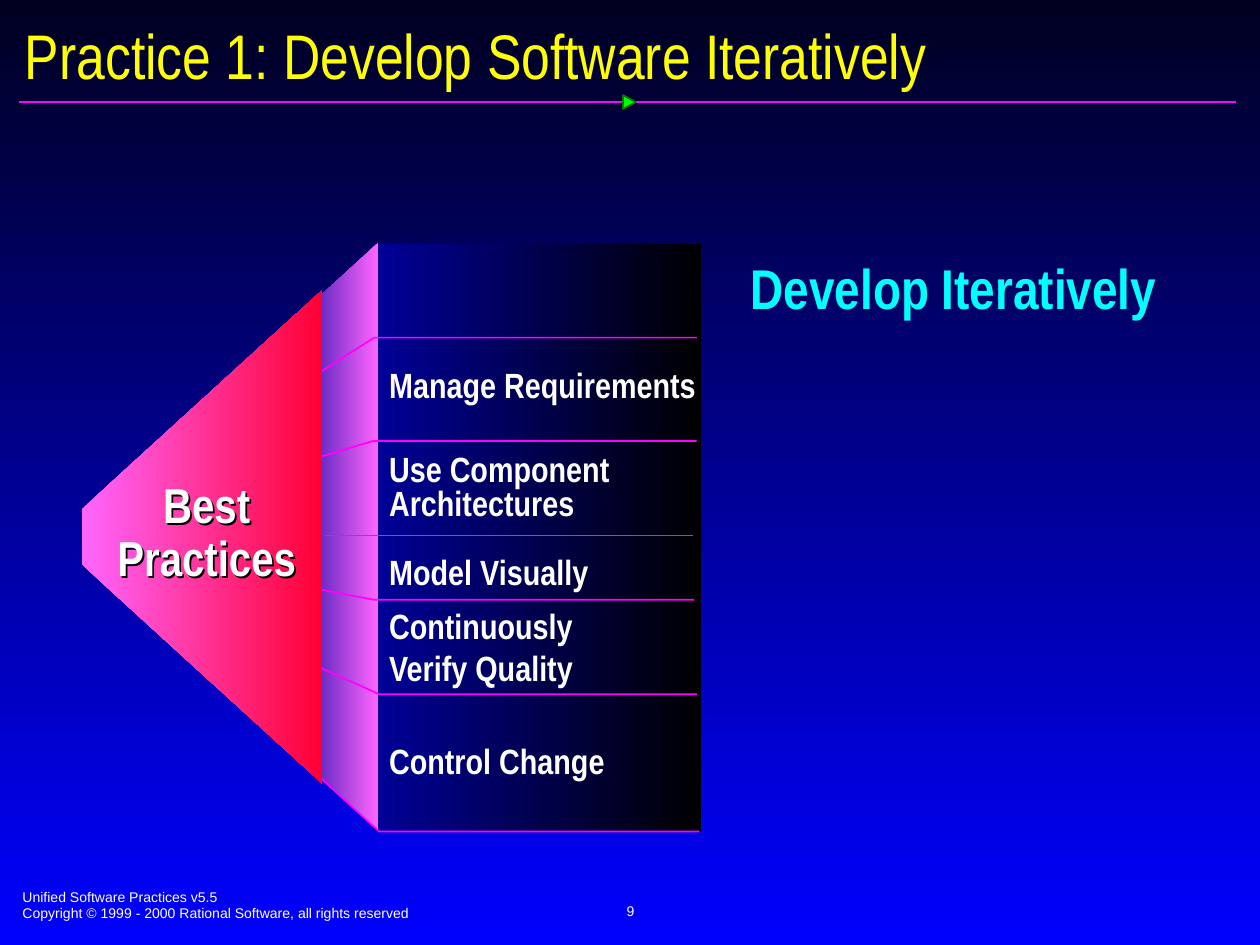
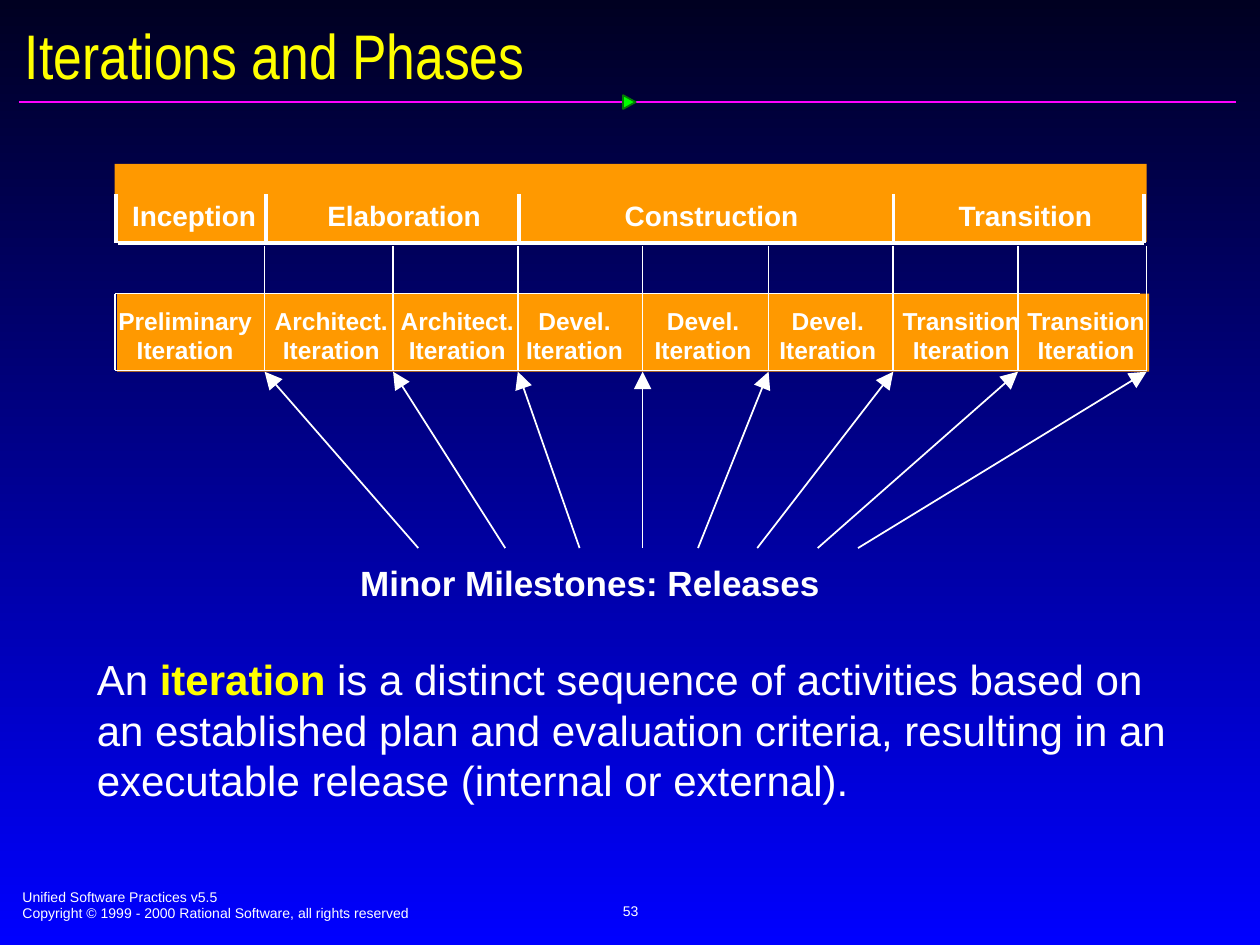
from dataclasses import dataclass

import lxml.etree
import pptx
import pptx.dml.color
import pptx.enum.shapes
import pptx.enum.text
import pptx.oxml.ns
import pptx.util

Inches = pptx.util.Inches
Pt = pptx.util.Pt
SHAPE = pptx.enum.shapes.MSO_SHAPE
ALIGN = pptx.enum.text.PP_ALIGN
ANCHOR = pptx.enum.text.MSO_ANCHOR


@dataclass(frozen=True)
class Theme:
    sans: str = "Arial"
    narrow: str = "Arial Narrow"
    white: str = "FFFFFF"
    black: str = "000000"
    yellow: str = "FFFF00"
    cyan: str = "00FFFF"
    orange: str = "FF9900"
    green: str = "00FF00"
    forest: str = "037C03"
    rule: str = "FF01FF"
    seam: str = "FF00FF"
    navy: str = "000099"
    pink: str = "FF66FF"
    red: str = "FF0033"
    sky: tuple = ("000021", "0000FF")
    title: int = 36
    callout: int = 32
    hub: int = 28
    body: int = 24
    label: int = 20
    phase: int = 16
    step: int = 14
    small: int = 8


T = Theme()


def rgb(code):
    return pptx.dml.color.RGBColor.from_string(code)


def blend(fill, start, end, angle=0):
    fill.gradient()
    fill.gradient_angle = angle
    for stop, code in zip(fill.gradient_stops, (start, end)):
        stop.color.rgb = rgb(code)


def add_node(parent, tag, **attrs):
    return lxml.etree.SubElement(parent, pptx.oxml.ns.qn(tag), attrs)


def style(run, size, color, font, bold):
    run.font.size = Pt(size)
    run.font.color.rgb = rgb(color)
    run.font.name = font
    run.font.bold = bold


def add_text(slide, box, lines, size, color=T.white, font=T.sans, bold=False,
             align=ALIGN.LEFT, anchor=ANCHOR.TOP, lead=None):
    shape = slide.shapes.add_textbox(*map(Inches, box))
    frame = shape.text_frame
    frame.word_wrap = True
    frame.vertical_anchor = anchor
    frame.text = lines
    for para in frame.paragraphs:
        para.alignment = align
        if lead:
            para.line_spacing = lead
        for run in para.runs:
            style(run, size, color, font, bold)
    return shape


def add_line(slide, start, end, color=T.white, width=1, arrow=False):
    line = slide.shapes.add_connector(
        pptx.enum.shapes.MSO_CONNECTOR.STRAIGHT,
        *map(Inches, (*start, *end)))
    line.line.color.rgb = rgb(color)
    line.line.width = Pt(width)
    if arrow:
        add_node(line.line._get_or_add_ln(), "a:tailEnd",
                 type="triangle", w="lg", len="lg")
    add_node(line._element.spPr, "a:effectLst")


def add_shape(slide, kind, box, color=None):
    shape = slide.shapes.add_shape(kind, *map(Inches, box))
    shape.shadow.inherit = False
    shape.line.fill.background()
    if color:
        shape.fill.solid()
        shape.fill.fore_color.rgb = rgb(color)
    return shape


def add_free(slide, points, close):
    first, *rest = [tuple(map(Inches, point)) for point in points]
    pen = slide.shapes.build_freeform(*first)
    pen.add_line_segments(rest, close=close)
    shape = pen.convert_to_shape()
    shape.shadow.inherit = False
    return shape


def add_panel(slide, points, start, end):
    shape = add_free(slide, points, True)
    blend(shape.fill, start, end)
    shape.line.fill.background()


def add_seam(slide, *points):
    shape = add_free(slide, points, False)
    shape.fill.background()
    shape.line.color.rgb = rgb(T.seam)
    shape.line.width = Pt(1)


def cast_shadow(shape):
    """Give the letters of an unfilled box a hard black shadow."""
    effects = add_node(shape._element.spPr, "a:effectLst")
    shadow = add_node(effects, "a:outerShdw", dist="18000", dir="2700000")
    add_node(shadow, "a:srgbClr", val=T.black)


def add_slide(deck, title, number):
    """Start a slide with the shared sky, footer, rule and title."""
    slide = deck.slides.add_slide(deck.slide_layouts[6])
    blend(slide.background.fill, *T.sky, angle=270)
    add_text(slide, (0.08, 7, 5.1, 0.37),
             "Unified Software Practices v5.5\n"
             "Copyright © 1999 - 2000 Rational Software, all rights reserved",
             T.small)
    add_text(slide, (3.42, 6.98, 3.17, 0.5), str(number), T.small,
             align=ALIGN.CENTER, anchor=ANCHOR.MIDDLE)
    add_line(slide, (0.15, 0.81), (9.81, 0.81), T.rule)
    mark = add_shape(slide, SHAPE.ISOSCELES_TRIANGLE,
                     (4.94, 0.76, 0.11, 0.1), T.green)
    mark.rotation = 90
    mark.line.color.rgb = rgb(T.forest)
    mark.line.width = Pt(1)
    add_text(slide, (0.1, 0.14, 9.84, 0.58), title, T.title, T.yellow,
             T.narrow, anchor=ANCHOR.MIDDLE)
    return slide


def draw_wedge(deck):
    slide = add_slide(deck, "Practice 1: Develop Software Iteratively", 9)
    add_text(slide, (5.86, 1.96, 3.8, 0.64), "Develop Iteratively",
             T.callout, T.cyan, T.narrow, True)
    block = add_shape(slide, SHAPE.RECTANGLE, (2.97, 1.94, 2.59, 4.66))
    blend(block.fill, T.navy, T.black)
    add_panel(slide, [(3, 6.59), (3, 1.93), (2.22, 2.64), (2.22, 5.88)],
              T.navy, T.pink)

    # right end, bend x, level, then the left end of each seam
    for right, bend, level, left, foot in (
            (5.53, 2.97, 2.68, 2.34, 3.08),
            (5.53, 2.96, 3.5, 2.33, 3.69),
            (5.51, 2.97, 4.76, 2.34, 4.64),
            (5.55, 3.01, 6.6, 2.32, 5.97),
            (5.53, 3.01, 5.51, 2.34, 5.21)):
        add_seam(slide, (right, level), (bend, level), (left, foot))
    add_line(slide, (2.58, 4.25), (5.5, 4.25), T.seam, 0.75)

    for top, height, words, lead in (
            (2.9, 0.37, "Manage Requirements", 0.8),
            (3.57, 0.64, "Use Component Architectures", 0.8),
            (4.32, 0.44, "Model Visually", None),
            (4.75, 0.77, "Continuously\nVerify Quality", None),
            (5.82, 0.44, "Control Change", None)):
        add_text(slide, (2.99, top, 2.8, height), words, T.label,
                 font=T.narrow, bold=True, lead=lead)

    add_panel(slide, [(2.56, 6.22), (2.56, 2.3), (0.65, 4.04), (0.65, 4.48)],
              T.pink, T.red)
    hub = add_text(slide, (0.64, 3.77, 2, 0.94), "Best\nPractices", T.hub,
                   font=T.narrow, bold=True, align=ALIGN.CENTER,
                   anchor=ANCHOR.MIDDLE, lead=0.9)
    cast_shadow(hub)


def add_steps(slide, gates):
    add_shape(slide, SHAPE.RECTANGLE, (0.93, 2.33, 8.19, 0.62), T.orange)
    width = 1.5
    for name, mid in (
            ("Preliminary", 1.47), ("Architect.", 2.63),
            ("Architect.", 3.63), ("Devel.", 4.56), ("Devel.", 5.58),
            ("Devel.", 6.57), ("Transition", 7.63), ("Transition", 8.62)):
        add_text(slide, (mid - width / 2, 2.38, width, 0.56),
                 f"{name}\nIteration", T.step, bold=True, align=ALIGN.CENTER)
    for x in gates:
        add_line(slide, (x, 2.94), (x, 1.95))
    add_line(slide, (0.91, 2.94), (9.1, 2.94))
    add_line(slide, (0.91, 2.33), (9.05, 2.33))
    add_line(slide, (0.91, 2.33), (0.91, 2.94))


def add_phases(slide):
    add_shape(slide, SHAPE.RECTANGLE, (0.91, 1.3, 8.19, 0.62), T.orange)
    add_line(slide, (0.94, 1.93), (9.08, 1.93), width=2)
    for x in (0.92, 2.11, 4.12, 7.09, 9.08):
        add_line(slide, (x, 1.93), (x, 1.54), width=2)
    for name, left in (("Inception", 0.95), ("Elaboration", 2.5),
                       ("Construction", 4.86), ("Transition", 7.51)):
        add_text(slide, (left, 1.53, 1.8, 0.37), name, T.phase, bold=True)


def draw_phases(deck):
    slide = add_slide(deck, "Iterations and Phases", 53)
    note = add_text(slide, (0.67, 5.14, 8.83, 1.3), "", T.body)
    para = note.text_frame.paragraphs[0]
    for words, color, bold in (
            ("An ", T.white, False),
            ("iteration", T.yellow, True),
            (" is a distinct sequence of activities based on an established "
             "plan and evaluation criteria, resulting in an executable "
             "release (internal or external).", T.white, False)):
        run = para.add_run()
        run.text = words
        style(run, T.body, color, T.sans, bold)

    gates = (2.1, 3.12, 4.11, 5.1, 6.1, 7.09, 8.08, 9.1)
    add_phases(slide)
    add_steps(slide, gates)
    add_text(slide, (2.76, 4.41, 4.5, 0.44), "Minor Milestones: Releases",
             T.label, bold=True)
    roots = (3.32, 4.01, 4.6, 5.1, 5.54, 6.01, 6.49, 6.81)
    for root, gate in zip(roots, gates):
        add_line(slide, (root, 4.35), (gate, 2.95), arrow=True)


def main():
    deck = pptx.Presentation()
    deck.slide_width = Inches(10)
    deck.slide_height = Inches(7.5)
    draw_wedge(deck)
    draw_phases(deck)
    deck.save("out.pptx")


if __name__ == "__main__":
    main()
